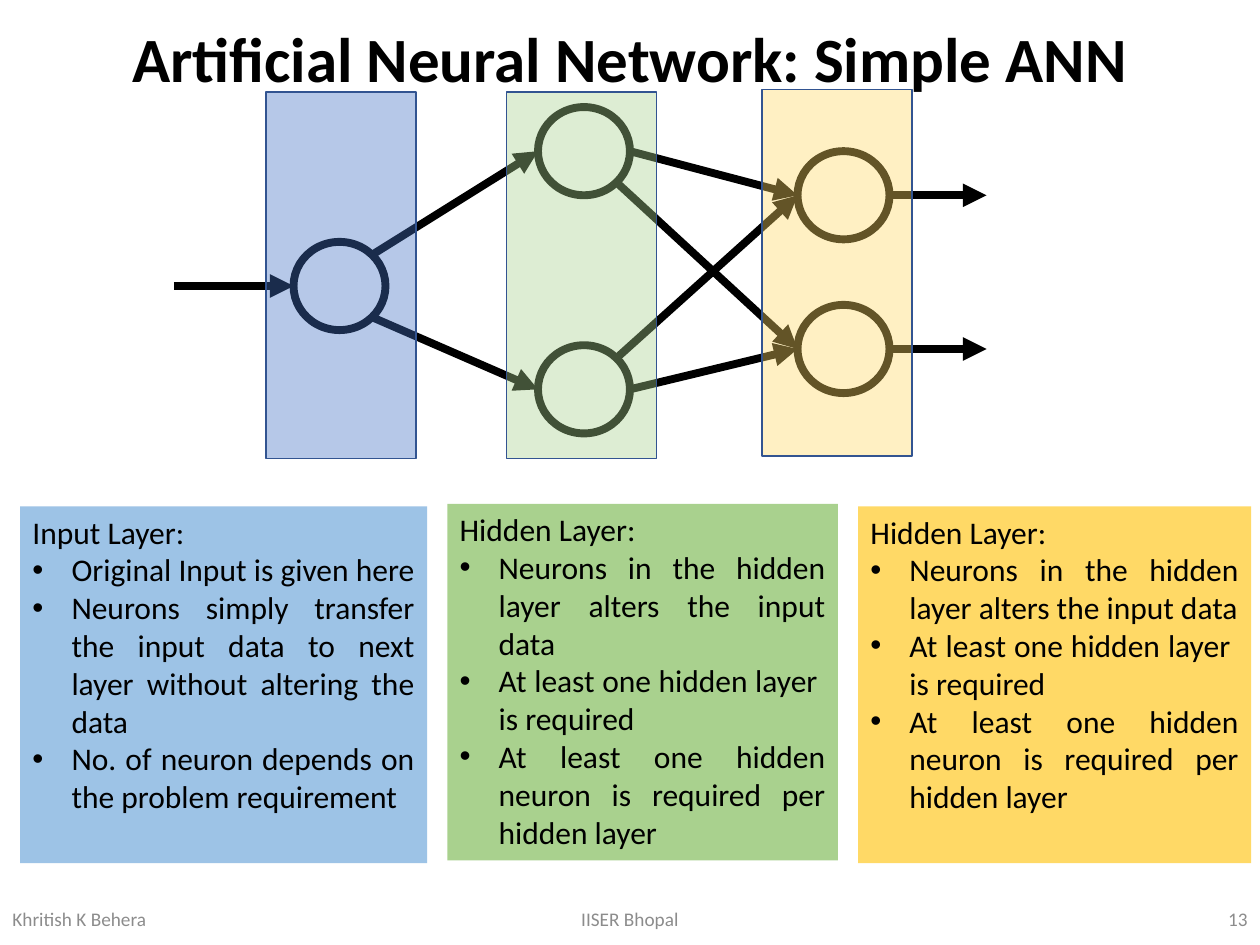
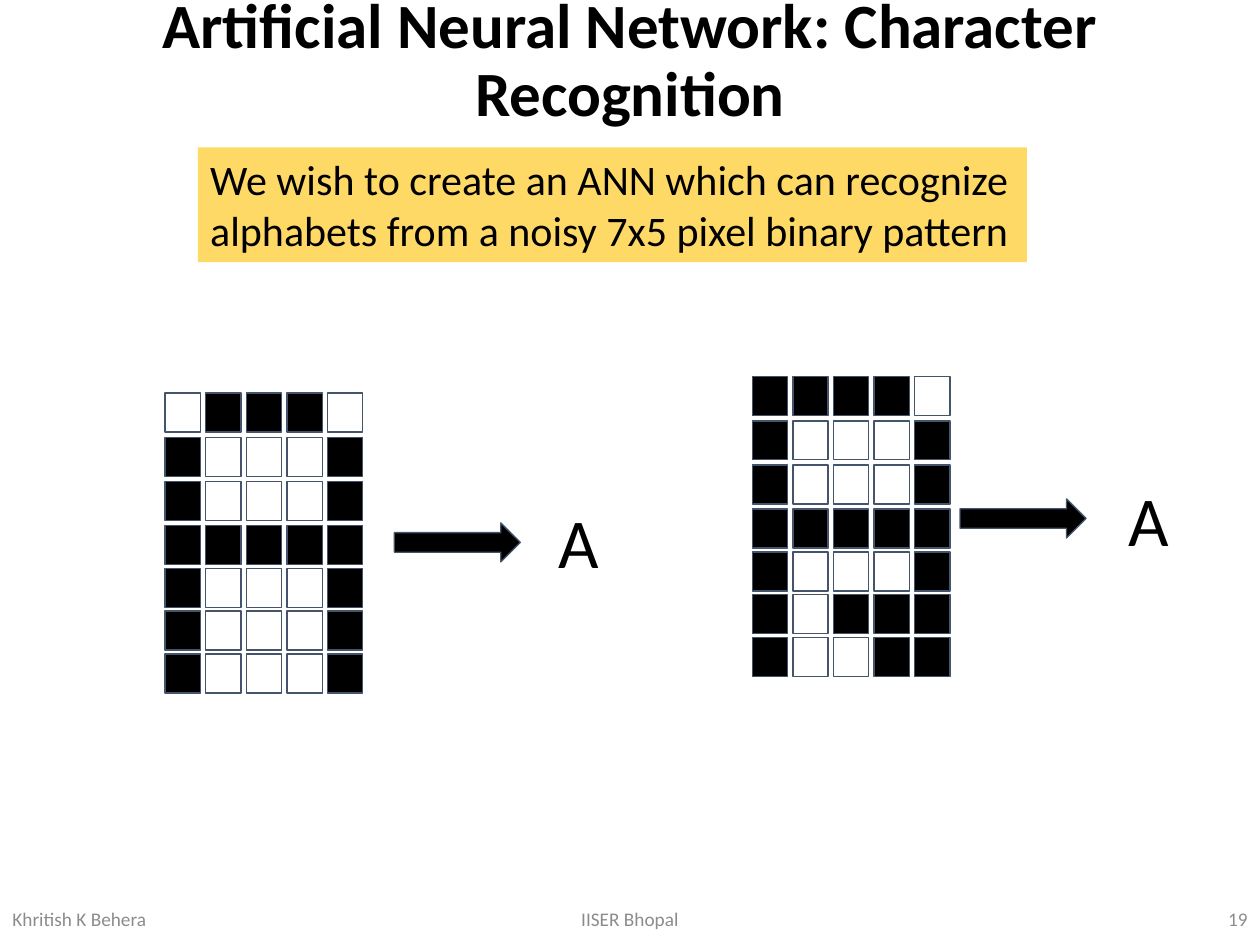
from math import cos, radians, sin

from lxml.etree import SubElement
from pptx import Presentation
from pptx.dml.color import RGBColor
from pptx.enum.shapes import MSO_CONNECTOR as Connector, MSO_SHAPE as Shape
from pptx.enum.text import MSO_ANCHOR as Anchor, PP_ALIGN as Align
from pptx.oxml.ns import qn
from pptx.util import Inches, Pt

# The grid has 10 columns and 7.5 rows
COLUMNS, ROWS = 10, 7.5
FONT = "Calibri"
COLORS = {
    "black": "000000", "white": "FFFFFF", "footer": "8C8C8C",
    "blue": "9DC3E6", "green": "A9D18E", "yellow": "FFD966",
    "input band": "4472C4", "band line": "325491", "pixel line": "44546A",
}


class Painter:
    """Holds the style and the current page; lengths are columns and rows."""

    def __init__(self):
        self.deck = Presentation()
        self.deck.slide_width, self.deck.slide_height = Inches(10), Inches(7.5)
        self.column = self.deck.slide_width / COLUMNS
        self.row = self.deck.slide_height / ROWS
        self.page = None

    def place(self, *lengths):
        units = (self.column, self.row) * 2
        return [round(length * unit) for length, unit in zip(lengths, units)]

    def color(self, name):
        return RGBColor.from_string(COLORS[name])

    def start(self, title, number):
        self.page = self.deck.slides.add_slide(self.deck.slide_layouts[6])
        self.text((0, 0.01, COLUMNS, 0.96), title, 36, align=Align.CENTER,
                  anchor=Anchor.MIDDLE, bold=True, spacing=0.9)
        footers = (
            (0, 2.25, "Khritish K Behera", Align.LEFT),
            (3.31, 3.38, "IISER Bhopal", Align.CENTER),
            (7.75, 2.25, str(number), Align.RIGHT),
        )
        for left, width, words, align in footers:
            self.text((left, 7.09, width, 0.4), words, 11, align=align,
                      anchor=Anchor.MIDDLE, color="footer")

    def shape(self, kind, area, fill, line=None, weight=1.0, opacity=None):
        shape = self.page.shapes.add_shape(kind, *self.place(*area))
        shape.shadow.inherit = False
        shape.fill.solid()
        shape.fill.fore_color.rgb = self.color(fill)
        if opacity:
            tint = shape._element.spPr.find(qn("a:solidFill")).find(qn("a:srgbClr"))
            SubElement(tint, qn("a:alpha"), val=str(opacity * 1000))
        if line:
            shape.line.color.rgb = self.color(line)
            shape.line.width = Pt(weight)
        else:
            shape.line.fill.background()
        return shape

    def set_lines(self, box, lines, size, align=Align.LEFT, anchor=Anchor.TOP,
                  color="black", bold=False, spacing=None, bullets_from=None):
        frame = box.text_frame
        frame.word_wrap = True
        frame.vertical_anchor = anchor
        for index, line in enumerate(lines):
            para = frame.paragraphs[0] if index == 0 else frame.add_paragraph()
            para.text = line
            para.alignment = align
            if spacing:
                para.line_spacing = spacing
            if bullets_from is not None and index >= bullets_from:
                self.bullet(para)
            for span in para.runs:
                span.font.name, span.font.size = FONT, Pt(size)
                span.font.bold = bold
                span.font.color.rgb = self.color(color)

    def bullet(self, para):
        indent = Inches(0.31)
        properties = para._p.get_or_add_pPr()
        properties.set("marL", str(indent))
        properties.set("indent", str(-indent))
        SubElement(properties, qn("a:buFont"), typeface="Arial")
        SubElement(properties, qn("a:buChar"), char="•")

    def text(self, area, words, size, **style):
        box = self.page.shapes.add_textbox(*self.place(*area))
        self.set_lines(box, [words], size, **style)
        return box

    def panel(self, area, fill, lines, size, **style):
        box = self.shape(Shape.RECTANGLE, area, fill)
        self.set_lines(box, lines, size, **style)

    def arrow(self, start, end):
        line = self.page.shapes.add_connector(
            Connector.STRAIGHT, *self.place(*start, *end))
        line.line.color.rgb = self.color("black")
        line.line.width = Pt(4.5)
        properties = line._element.spPr
        SubElement(properties.find(qn("a:ln")), qn("a:tailEnd"), type="triangle")
        SubElement(properties, qn("a:effectLst"))


# Simple network
NEURON_WIDTH, NEURON_HEIGHT = 0.73, 0.7
NEURONS = {  # left and top
    "input": (2.33, 1.92),
    "hidden 1": (4.27, 0.85), "hidden 2": (4.27, 2.74),
    "output 1": (6.33, 1.2), "output 2": (6.33, 2.42),
}
LINKS = (  # source, angle at which the arrow leaves it, target
    ("input", -45, "hidden 1"), ("input", 45, "hidden 2"),
    ("hidden 1", 0, "output 1"), ("hidden 1", 45, "output 2"),
    ("hidden 2", -45, "output 1"), ("hidden 2", 0, "output 2"),
)
HIDDEN_NOTES = (
    "Hidden Layer:",
    "Neurons in the hidden layer alters the input data",
    "At least one hidden layer  is required",
    "At least one hidden neuron is required per hidden layer ",
)
INPUT_NOTES = (
    "Input Layer:",
    "Original Input is given here ",
    "Neurons simply transfer the input data to next layer without altering the data",
    "No. of neuron depends on the problem requirement",
)


def rim(neuron, angle):
    left, top = NEURONS[neuron]
    turn = radians(angle)
    return (left + NEURON_WIDTH / 2 * (1 + cos(turn)),
            top + NEURON_HEIGHT / 2 * (1 + sin(turn)))


def draw_network(painter):
    painter.start("Artificial Neural Network: Simple ANN", 13)

    # Neurons and their links
    for corner in NEURONS.values():
        painter.shape(Shape.OVAL, (*corner, NEURON_WIDTH, NEURON_HEIGHT),
                      "white", "black", 4.5)
    for source, angle, target in LINKS:
        painter.arrow(rim(source, angle), rim(target, 180))
    for output in ("output 1", "output 2"):
        x, y = rim(output, 0)
        painter.arrow((x, y), (x + 0.77, y))
    x, y = rim("input", 180)
    painter.arrow((x - 0.95, y), (x, y))

    # Translucent layer bands
    for left, top, fill in ((4.02, 0.73, "green"), (2.11, 0.73, "input band"),
                            (6.05, 0.71, "yellow")):
        painter.shape(Shape.RECTANGLE, (left, top, 1.19, 2.91), fill,
                      "band line", 1, opacity=39)

    # Notes on each layer
    panels = (
        (0.16, 4.02, 3.23, "blue", INPUT_NOTES),
        (3.55, 4, 3.1, "green", HIDDEN_NOTES),
        (6.81, 4.02, 3.12, "yellow", HIDDEN_NOTES),
    )
    for left, top, width, fill, notes in panels:
        painter.panel((left, top, width, 2.83), fill, notes, 18,
                      align=Align.JUSTIFY, bullets_from=1)


# Character recognition: "#" is a black pixel
CLEAN_A = (".###.", "#...#", "#...#", "#####", "#...#", "#...#", "#...#")
NOISY_A = ("####.", "#...#", "#...#", "#####", "#...#", "#.###", "#..##")
MIDDLE_BAR = 3


def draw_letter(painter, left, top, pattern):
    for row, cells in enumerate(pattern):
        # Rows sit slightly closer below the middle bar
        y = top + 0.35 * min(row, MIDDLE_BAR) + 0.34 * max(row - MIDDLE_BAR, 0)
        for column, cell in enumerate(cells):
            x = left + 1.29 / 4 * column
            painter.shape(Shape.RECTANGLE, (x, y, 0.28, 0.31),
                          "black" if cell == "#" else "white", "pixel line", 0.75)


def draw_recognition(painter):
    painter.start("Artificial Neural Network: Character Recognition", 19)

    # Pattern, arrow and recognized letter
    examples = (
        (CLEAN_A, (1.31, 3.12), (3.13, 4.15), (4.18, 3.86)),
        (NOISY_A, (5.97, 2.99), (7.62, 3.96), (8.71, 3.68)),
    )
    for pattern, corner, arrow, letter in examples:
        draw_letter(painter, *corner, pattern)
        painter.shape(Shape.RIGHT_ARROW, (*arrow, 1, 0.31), "black",
                      "pixel line", 0.75)
        box = painter.text((*letter, 0.82, 0.88), "A", 40, align=Align.CENTER)
        box.text_frame.margin_top = box.text_frame.margin_bottom = Inches(0.1)

    # Goal
    painter.panel((1.57, 1.17, 6.58, 0.91), "yellow", [
        "We wish to create an ANN which can recognize alphabets "
        "from a noisy 7x5 pixel binary pattern"], 24)


def main():
    painter = Painter()
    draw_network(painter)
    draw_recognition(painter)
    painter.deck.save("out.pptx")


if __name__ == "__main__":
    main()
